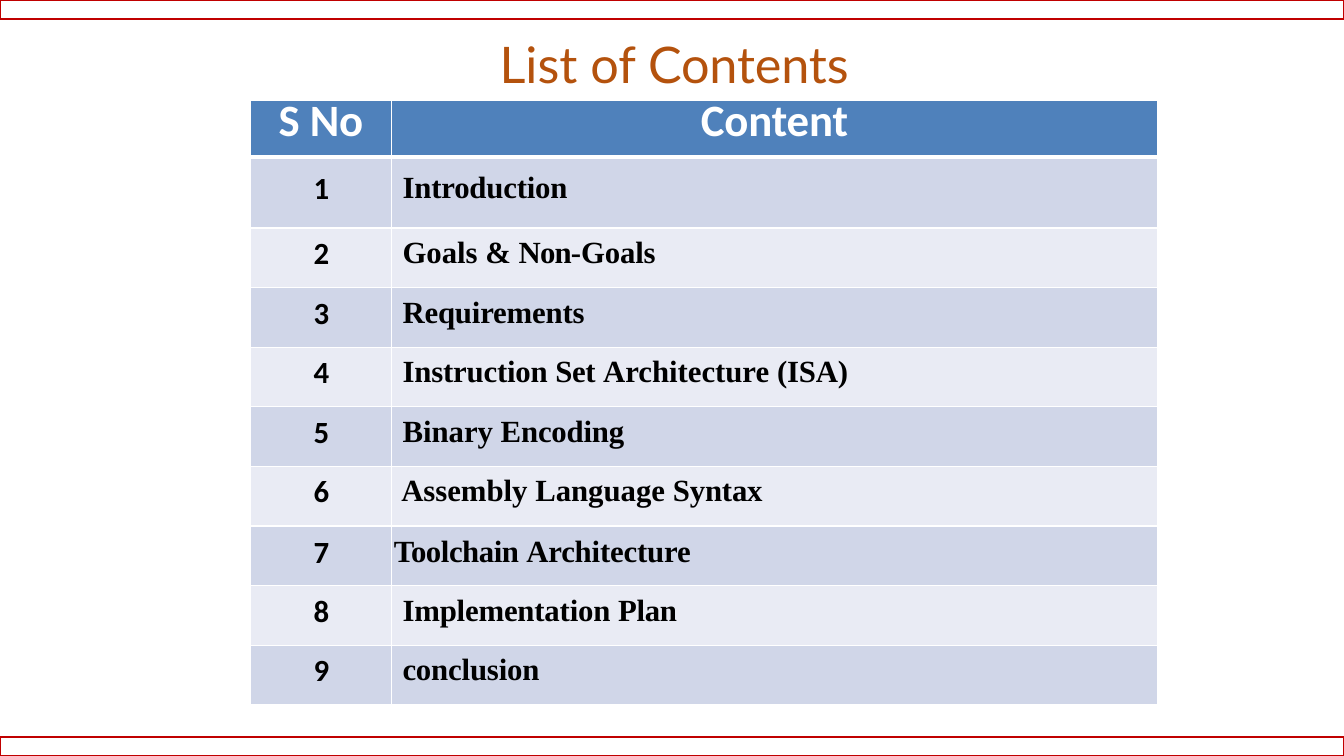
from lxml import etree
from pptx import Presentation
from pptx.dml.color import RGBColor
from pptx.enum.shapes import MSO_SHAPE
from pptx.enum.text import MSO_ANCHOR, MSO_AUTO_SIZE, PP_ALIGN
from pptx.oxml.ns import qn
from pptx.util import Pt

RECTANGLE = MSO_SHAPE.RECTANGLE
TOP = MSO_ANCHOR.TOP
FIT_SHAPE = MSO_AUTO_SIZE.SHAPE_TO_FIT_TEXT
LEFT, CENTER = PP_ALIGN.LEFT, PP_ALIGN.CENTER
TITLE_ONLY = 5
WIDTH, HEIGHT, BAR_HEIGHT = 960, 540, 13.7

HEADER_FONT = {"name": "Calibri", "size": Pt(32), "bold": True}
NUMBER_FONT = {"name": "Calibri", "size": Pt(22), "bold": True}
TOPIC_FONT = {"name": "Times New Roman", "size": Pt(22), "bold": True}
TITLE_FONT = {"name": "Lato", "size": Pt(36), "bold": False}

HEADERS = [[("S ", 0), ("No", -0.2)], [("Content", -0.1)]]
TOPICS = [
    [("Introduction", -0.1)],
    [("Goals & ", 0), ("Non-", -0.6), ("Goals", -0.1)],
    [("Requirements", -0.1)],
    [("Instruction ", -0.1), ("Set ", -0.2), ("Architecture ", 0), ("(ISA)", -0.1)],
    [("Binary ", 0), ("Encoding", -0.1)],
    [("Assembly Language ", 0), ("Syntax", -0.1)],
    [("Toolchain ", -0.3), ("Architecture", -0.1)],
    [("Implementation ", -0.1), ("Plan", -0.2)],
    [("conclusion", -0.1)],
]
TOPIC_INDENTS = {6: 6.8, 7: 1.5}
NUMBER_GAPS = {1: 8.9, 7: 5.6}


def rgb(value):
    """Turn a hex string into a colour."""
    return RGBColor.from_string(value)


def set_values(target, values):
    """Set every attribute in a dict of format values."""
    for name, value in values.items():
        setattr(target, name, value)


def write_runs(paragraph, runs, font, color):
    """Add runs of (text, letter spacing) in one font."""
    for text, spacing in runs:
        run = paragraph.add_run()
        run.text = text
        set_values(run.font, font)
        run.font.color.rgb = rgb(color)
        run.font._element.set("spc", str(round(spacing * 100)))


def set_indent(paragraph, indent):
    """Give a paragraph a left margin without a first-line offset."""
    properties = paragraph._p.get_or_add_pPr()
    properties.set("marL", str(Pt(indent)))
    properties.set("indent", "0")


def add_bar(slide, top):
    """Add a full-width outlined bar."""
    bar = slide.shapes.add_shape(RECTANGLE, 0, Pt(top), Pt(WIDTH), Pt(BAR_HEIGHT))
    bar.shadow.inherit = False
    bar.fill.background()
    bar.line.color.rgb = rgb("C00000")
    bar.line.width = Pt(0.96)


def add_title(slide):
    """Format and fill the title placeholder."""
    title = slide.shapes.title
    set_values(title, {"left": Pt(355.9), "top": Pt(22.3),
                       "width": Pt(251.3), "height": Pt(45.4)})
    frame = title.text_frame
    set_values(frame, {"margin_left": 0, "margin_top": Pt(1), "margin_right": 0,
                       "margin_bottom": 0, "vertical_anchor": TOP,
                       "word_wrap": True, "auto_size": FIT_SHAPE})
    paragraph = frame.paragraphs[0]
    set_values(paragraph, {"alignment": LEFT, "space_before": Pt(1)})
    set_indent(paragraph, 1)
    write_runs(paragraph, [("List of ", 0), ("Contents", -0.1)], TITLE_FONT, "B4520D")


def set_borders(cell, top, bottom):
    """Draw white borders, with given top and bottom widths."""
    properties = cell._tc.get_or_add_tcPr()
    for tag, width in (("a:lnL", 1), ("a:lnR", 1), ("a:lnT", top), ("a:lnB", bottom)):
        line = etree.SubElement(properties, qn(tag), w=str(Pt(width)))
        fill = etree.SubElement(line, qn("a:solidFill"))
        etree.SubElement(fill, qn("a:srgbClr"), val="FFFFFF")


def fill_cell(cell, runs, font, color, fill, alignment, gap=0, indent=0):
    """Format a table cell and write its text."""
    set_values(cell, {"margin_left": 0, "margin_top": Pt(gap), "margin_right": 0,
                      "margin_bottom": 0, "vertical_anchor": TOP})
    cell.fill.solid()
    cell.fill.fore_color.rgb = rgb(fill)
    paragraph = cell.text_frame.paragraphs[0]
    set_values(paragraph, {"alignment": alignment, "space_before": Pt(gap)})
    set_indent(paragraph, indent)
    write_runs(paragraph, runs, font, color)
    return paragraph


def add_contents_table(slide):
    """Add the numbered table of topics."""
    heights = [41, 50.4] + [42.6] * 8
    frame = slide.shapes.add_table(len(heights), 2, Pt(178.6), Pt(71.4),
                                   Pt(648), Pt(sum(heights)))
    table = frame.table
    for column, width in zip(table.columns, (101.2, 546.8)):
        column.width = Pt(width)
    for index, height in enumerate(heights):
        table.rows[index].height = Pt(height)
        for cell in table.rows[index].cells:
            set_borders(cell, 3 if index == 1 else 1, 3 if index == 0 else 1)
    for column, runs in enumerate(HEADERS):
        paragraph = fill_cell(table.cell(0, column), runs, HEADER_FONT,
                              "FFFFFF", "4F81BB", CENTER)
        paragraph.line_spacing = Pt(35)
    for number, runs in enumerate(TOPICS, 1):
        fill = "D0D6E8" if number % 2 else "E9EBF4"
        gap = NUMBER_GAPS.get(number, 5.2)
        fill_cell(table.cell(number, 0), [(str(number), -0.5)], NUMBER_FONT,
                  "000000", fill, CENTER, gap, 0.7)
        fill_cell(table.cell(number, 1), runs, TOPIC_FONT, "000000", fill, LEFT,
                  gap + 0.7, TOPIC_INDENTS.get(number, 7.7))


def main():
    """Build and save the contents slide."""
    presentation = Presentation()
    set_values(presentation, {"slide_width": Pt(WIDTH), "slide_height": Pt(HEIGHT)})
    slide = presentation.slides.add_slide(presentation.slide_layouts[TITLE_ONLY])
    for top in (0, HEIGHT - BAR_HEIGHT):
        add_bar(slide, top)
    add_contents_table(slide)
    add_title(slide)
    presentation.save("out.pptx")


if __name__ == "__main__":
    main()
